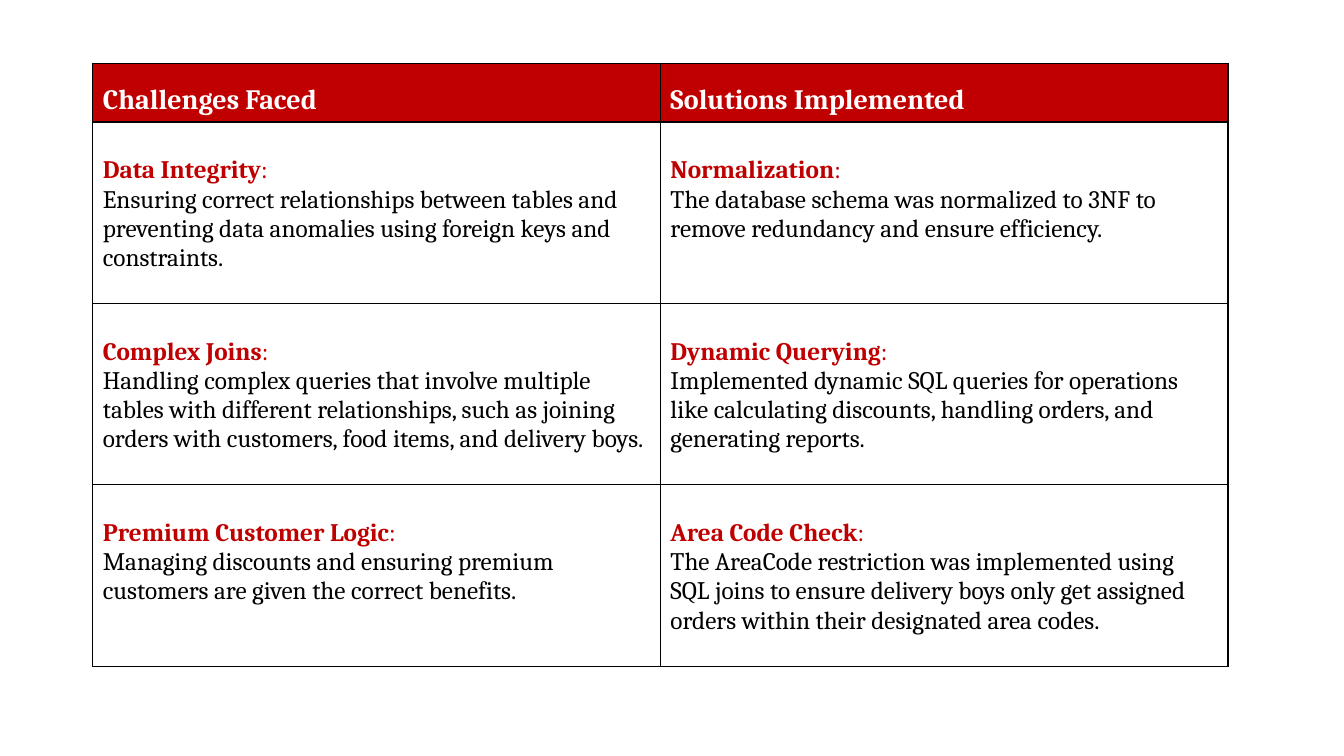
import pptx
import pptx.dml.color
import pptx.oxml
import pptx.oxml.ns
import pptx.util

Inches = pptx.util.Inches
Pt = pptx.util.Pt
RGBColor = pptx.dml.color.RGBColor

RED = RGBColor(0xC0, 0x00, 0x00)
WHITE = RGBColor(0xFF, 0xFF, 0xFF)
BLACK = RGBColor(0x00, 0x00, 0x00)

HEADERS = ("Challenges Faced", "Solutions Implemented")
ROWS = (
    (
        ("Data Integrity",
         "Ensuring correct relationships between tables and preventing data "
         "anomalies using foreign keys and constraints."),
        ("Normalization",
         "The database schema was normalized to 3NF to remove redundancy and "
         "ensure efficiency."),
    ),
    (
        ("Complex Joins",
         "Handling complex queries that involve multiple tables with different "
         "relationships, such as joining orders with customers, food items, "
         "and delivery boys."),
        ("Dynamic Querying",
         "Implemented dynamic SQL queries for operations like calculating "
         "discounts, handling orders, and generating reports."),
    ),
    (
        ("Premium Customer Logic",
         "Managing discounts and ensuring premium customers are given the "
         "correct benefits."),
        ("Area Code Check",
         "The AreaCode restriction was implemented using SQL joins to ensure "
         "delivery boys only get assigned orders within their designated area "
         "codes."),
    ),
)


class SlideBuilder:
    font = "Cambria"
    header = {"size": Pt(20), "bold": True}
    label = {"size": Pt(18), "bold": True}
    body = {"size": Pt(18), "bold": False}

    def __init__(self, prs):
        self.slide = prs.slides.add_slide(prs.slide_layouts[6])

    def run(self, p, text, style, color):
        r = p.add_run()
        r.text = text
        for name, value in {"name": self.font, **style}.items():
            setattr(r.font, name, value)
        r.font.color.rgb = color

    def borders(self, cell, bottom=1):
        tcPr = cell._tc.get_or_add_tcPr()
        widths = {"lnL": 1, "lnR": 1, "lnT": 1, "lnB": bottom}
        for i, (tag, width) in enumerate(widths.items()):
            tcPr.insert(i, pptx.oxml.parse_xml(
                f'<a:{tag} {pptx.oxml.ns.nsdecls("a")} w="{Pt(width)}">'
                f'<a:solidFill><a:srgbClr val="{BLACK}"/></a:solidFill>'
                f'</a:{tag}>'))

    def fill(self, cell, color):
        cell.fill.solid()
        cell.fill.fore_color.rgb = color

    def header_cell(self, cell, text):
        self.fill(cell, RED)
        self.borders(cell, bottom=2)
        p = cell.text_frame.paragraphs[0]
        for name, value in {"line_spacing": 1.5, "space_after": Pt(8)}.items():
            setattr(p, name, value)
        self.run(p, text, self.header, WHITE)

    def body_cell(self, cell, label, text):
        self.fill(cell, WHITE)
        self.borders(cell)
        cell.margin_top = Inches(0.34)
        tf = cell.text_frame
        p = tf.paragraphs[0]
        self.run(p, label, self.label, RED)
        self.run(p, ":", self.body, RED)
        self.run(tf.add_paragraph(), text, self.body, BLACK)

    def table(self, left, top, col_width, header_height, row_height):
        cols, rows = len(HEADERS), len(ROWS)
        sp = self.slide.shapes.add_table(
            rows + 1, cols, left, top,
            col_width * cols, header_height + row_height * rows)
        table = sp.table
        for column in table.columns:
            column.width = col_width
        for i, row in enumerate(table.rows):
            row.height = row_height if i else header_height
        for c, text in enumerate(HEADERS):
            self.header_cell(table.cell(0, c), text)
        for i, entries in enumerate(ROWS, 1):
            for c, (label, text) in enumerate(entries):
                self.body_cell(table.cell(i, c), label, text)


def main():
    prs = pptx.Presentation()
    prs.slide_width = Inches(13.33)
    prs.slide_height = Inches(7.5)
    s = SlideBuilder(prs)
    s.table(Inches(0.92), Inches(0.63), Inches(5.63), Inches(0.56), Inches(1.8))
    prs.save("out.pptx")


if __name__ == "__main__":
    main()
